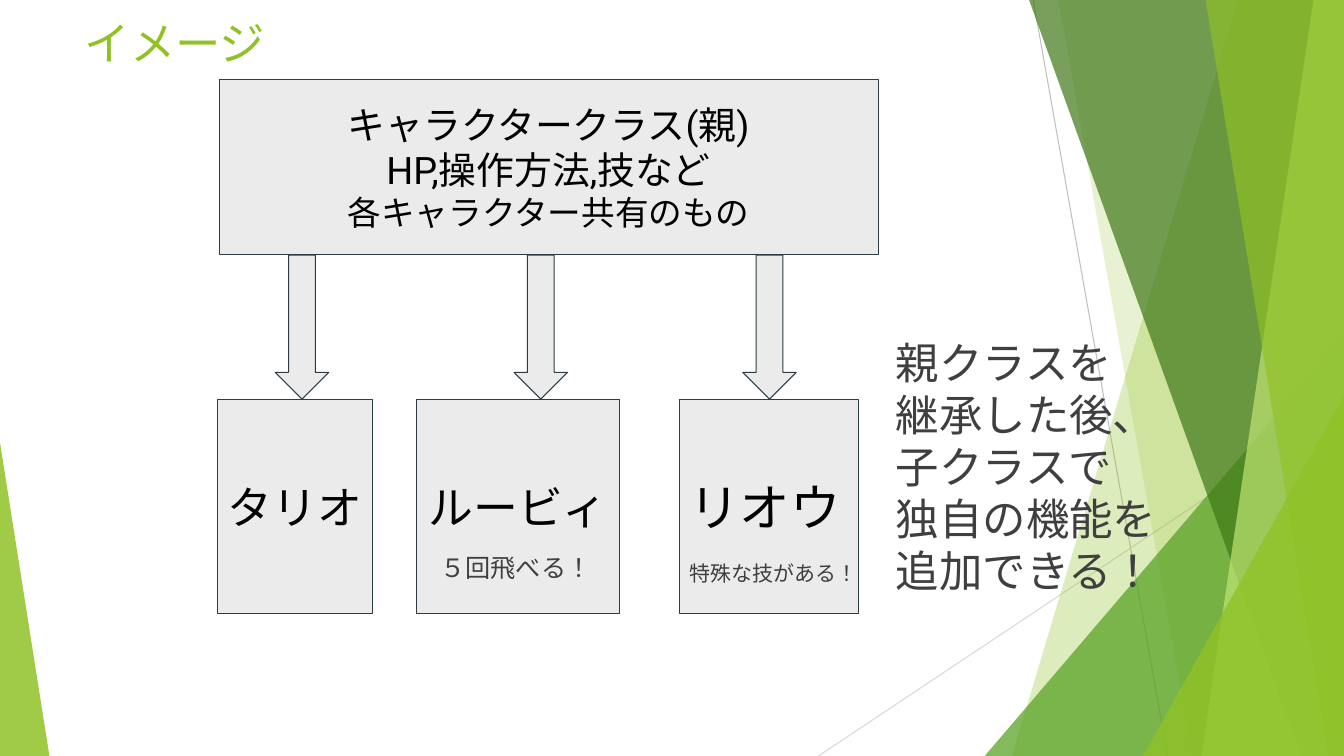
from dataclasses import dataclass

from lxml import etree
from pptx import Presentation
from pptx.dml.color import RGBColor
from pptx.enum import lang, shapes, text
from pptx.oxml import ns
from pptx.util import Pt

WIDTH, HEIGHT = 960, 540
FONT = "Roboto"
GREEN, DARK_GREEN, LEAF, LIME = "90C226", "3F7818", "54A021", "BFE471"
BOX_FILL, BOX_LINE, BLACK, GREY = "EBEBEB", "2C3C43", "000000", "3F3F3F"
ROW_TOP, ROW_HEIGHT = 285.1, 153.4
ARROW_TOP, ARROW_WIDTH = 182.2, 38.2
LEFT, CENTER = text.PP_ALIGN.LEFT, text.PP_ALIGN.CENTER
RECTANGLE = shapes.MSO_SHAPE.RECTANGLE
TRIANGLE = shapes.MSO_SHAPE.ISOSCELES_TRIANGLE


@dataclass
class Line:
    words: str
    size: float
    color: str = BLACK
    align: text.PP_ALIGN = LEFT


@dataclass
class Area:
    left: float
    top: float
    width: float
    height: float

    def lengths(self) -> list:
        return [Pt(value) for value in (self.left, self.top, self.width, self.height)]


@dataclass
class Band:
    top_x: float
    bottom_x: float
    color: str
    opacity: int


@dataclass
class Corner:
    area: Area
    peak: float
    color: str
    opacity: int


@dataclass
class Box:
    area: Area
    lines: list


@dataclass
class Ray:
    start: tuple
    end: tuple
    color: str


def rgb(value: str) -> RGBColor:
    return RGBColor.from_string(value)


def apply(target, values: dict) -> None:
    for name, value in values.items():
        setattr(target, name, value)


def paint(shape, color: str, opacity: int = 100) -> None:
    shape.shadow.inherit = False
    shape.fill.solid()
    shape.fill.fore_color.rgb = rgb(color)
    shape.line.fill.background()
    if opacity < 100:
        color_element = shape.element.spPr.find(ns.qn("a:solidFill"))[0]
        etree.SubElement(color_element, ns.qn("a:alpha"), val=str(opacity * 1000))


def write(frame, lines: list, anchor, inset: float = 7.2, wrap: bool = True) -> None:
    apply(frame, {
        "word_wrap": wrap, "auto_size": text.MSO_AUTO_SIZE.NONE, "vertical_anchor": anchor,
        "margin_left": Pt(7.2), "margin_right": Pt(7.2),
        "margin_top": Pt(inset), "margin_bottom": Pt(inset),
    })
    for index, line in enumerate(lines):
        paragraph = frame.add_paragraph() if index else frame.paragraphs[0]
        paragraph.alignment = line.align
        run = paragraph.add_run()
        run.text = line.words
        apply(run.font, {"name": FONT, "size": Pt(line.size),
                         "language_id": lang.MSO_LANGUAGE_ID.JAPANESE})
        run.font.color.rgb = rgb(line.color)
        etree.SubElement(run.font._element, ns.qn("a:ea"), typeface=FONT)


def draw_ray(slide, ray: Ray) -> None:
    points = [Pt(value) for value in ray.start + ray.end]
    connector = slide.shapes.add_connector(shapes.MSO_CONNECTOR.STRAIGHT, *points)
    connector.line.color.rgb = rgb(ray.color)
    connector.line.width = Pt(0.75)
    etree.SubElement(connector.element.spPr, ns.qn("a:effectLst"))


def draw_band(slide, band: Band) -> None:
    builder = slide.shapes.build_freeform(Pt(band.top_x), 0)
    corners = [(WIDTH, 0), (WIDTH, HEIGHT), (band.bottom_x, HEIGHT)]
    builder.add_line_segments([(Pt(x), Pt(y)) for x, y in corners], close=True)
    paint(builder.convert_to_shape(), band.color, band.opacity)


def draw_corner(slide, corner: Corner) -> None:
    shape = slide.shapes.add_shape(TRIANGLE, *corner.area.lengths())
    shape.adjustments[0] = corner.peak
    paint(shape, corner.color, corner.opacity)


def draw_outlined(slide, kind, area: Area):
    shape = slide.shapes.add_shape(kind, *area.lengths())
    paint(shape, BOX_FILL)
    shape.line.color.rgb = rgb(BOX_LINE)
    shape.line.width = Pt(0.75)
    return shape


def draw_box(slide, box: Box) -> None:
    shape = draw_outlined(slide, RECTANGLE, box.area)
    write(shape.text_frame, box.lines, text.MSO_ANCHOR.MIDDLE)


def draw_note(slide, note: Box) -> None:
    shape = slide.shapes.add_textbox(*note.area.lengths())
    write(shape.text_frame, note.lines, text.MSO_ANCHOR.TOP)


BACKDROP = [
    Ray((738, 0), (834, HEIGHT), "BFBFBF"),
    Ray((WIDTH, 290), (584.6, HEIGHT), "D8D8D8"),
    Band(884.2, 722.9, GREEN, 30),
    Band(756, 851.8, GREEN, 20),
    Corner(Area(703.4, 239.8, 256.6, 300.2), 1, LEAF, 72),
    Band(735.1, 929.5, DARK_GREEN, 70),
    Band(938.2, 858.2, LIME, 70),
    Band(861.1, 949, GREEN, 65),
    Corner(Area(816.5, 283, 143.5, 257), 1, GREEN, 80),
    Corner(Area(0, 316.1, 35.3, 223.9), 0, GREEN, 85),
]
DRAW = {Ray: draw_ray, Band: draw_band, Corner: draw_corner}

BOXES = [
    Box(Area(156.6, 56.9, 470.6, 124.9), [
        Line("キャラクタークラス(親)", 27, align=CENTER),
        Line("HP,操作方法,技など", 27, align=CENTER),
        Line("各キャラクター共有のもの", 24, align=CENTER),
    ]),
    Box(Area(155.5, ROW_TOP, 110.9, ROW_HEIGHT), [Line("タリオ", 32)]),
    Box(Area(297.4, ROW_TOP, 145.4, ROW_HEIGHT), [Line("ルービィ", 32, align=CENTER)]),
    Box(Area(485.3, ROW_TOP, 128.2, ROW_HEIGHT), [Line("リオウ", 36)]),
]
ARROW_LEFTS = [196.6, 367.2, 530.6]
SUMMARY = ["親クラスを", "継承した後、", "子クラスで", "独自の機能を", "追加できる！"]
NOTES = [
    Box(Area(307.4, 387.4, 124.6, 50.4), [Line("５回飛べる！", 18, GREY)]),
    Box(Area(485.3, 393.1, 137.5, 32.4), [Line("特殊な技がある！", 15, GREY)]),
    Box(Area(632.9, 232.6, 202.3, 75.6), [Line(words, 31, GREY) for words in SUMMARY]),
]


def main() -> None:
    presentation = Presentation()
    apply(presentation, {"slide_width": Pt(WIDTH), "slide_height": Pt(HEIGHT)})
    slide = presentation.slides.add_slide(presentation.slide_layouts[5])

    # Green facets at the slide edges
    for part in BACKDROP:
        DRAW[type(part)](slide, part)

    # Title
    title = slide.shapes.title
    apply(title, dict(zip(("left", "top", "width", "height"),
                          Area(53.3, 7.2, 175, 50.4).lengths())))
    write(title.text_frame, [Line("イメージ", 32.4, GREEN)], text.MSO_ANCHOR.TOP, 3.6)

    # Parent class, arrows and child classes
    for left in ARROW_LEFTS:
        area = Area(left, ARROW_TOP, ARROW_WIDTH, ROW_TOP - ARROW_TOP)
        draw_outlined(slide, shapes.MSO_SHAPE.DOWN_ARROW, area)
    for box in BOXES:
        draw_box(slide, box)

    # Notes on the children and the summary
    for note in NOTES:
        draw_note(slide, note)

    presentation.save("out.pptx")


if __name__ == "__main__":
    main()
